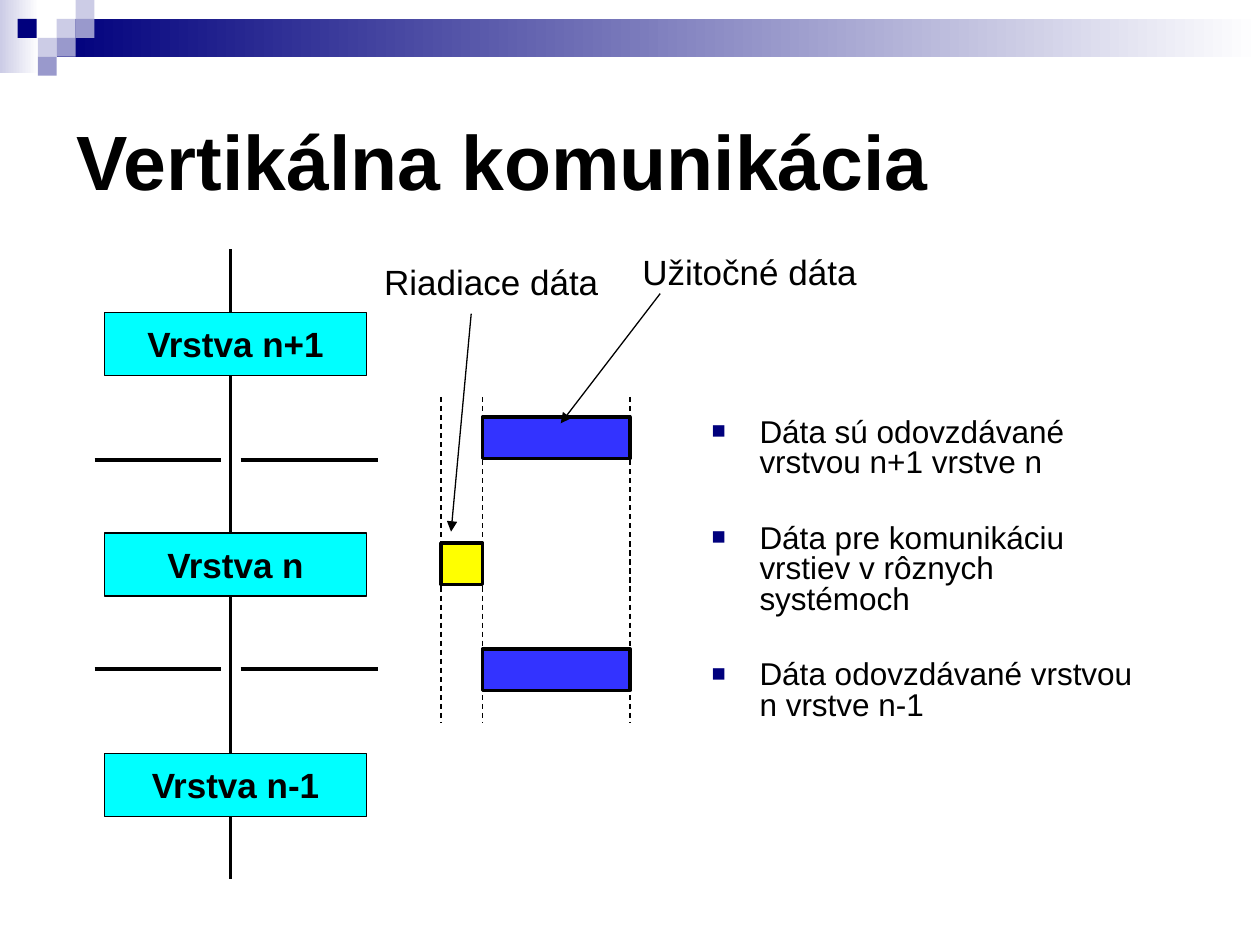
from dataclasses import dataclass

from lxml import etree
from pptx import Presentation
from pptx.dml.color import RGBColor as RGB
from pptx.enum.dml import MSO_LINE
from pptx.enum.shapes import MSO_CONNECTOR, MSO_SHAPE
from pptx.enum.text import MSO_ANCHOR as ANCHOR, PP_ALIGN as ALIGN
from pptx.oxml.ns import qn
from pptx.util import Inches, Pt


@dataclass(frozen=True)
class Theme:
    font: str = "Arial"
    ink: str = "000000"
    white: str = "FFFFFF"
    navy: str = "00007D"
    lilac: str = "9999CC"
    pale: str = "CCCCE6"
    layer: str = "00FFFF"
    payload: str = "3333FF"
    control: str = "FFFF00"
    title: int = 44
    label: int = 20
    body: int = 18
    thin: float = 0.75
    thick: float = 2


class SlideBuilder:
    def __init__(self, slide, theme):
        self.s = slide
        self.theme = theme

    def set_text(self, tf, text, size, bold=False, align=ALIGN.LEFT, anchor=ANCHOR.TOP):
        tf.word_wrap = True
        tf.vertical_anchor = anchor
        tf.text = text
        for p in tf.paragraphs:
            p.alignment = align
            for r in p.runs:
                r.font.name = self.theme.font
                r.font.size = Pt(size)
                r.font.bold = bold
                r.font.color.rgb = RGB.from_string(self.theme.ink)

    def rect(self, x, y, w, h, fill, line=None):
        sp = self.s.shapes.add_shape(
            MSO_SHAPE.RECTANGLE, Inches(x), Inches(y), Inches(w), Inches(h))
        sp.shadow.inherit = False
        sp.fill.solid()
        sp.fill.fore_color.rgb = RGB.from_string(fill)
        if line:
            sp.line.color.rgb = RGB.from_string(self.theme.ink)
            sp.line.width = Pt(line)
        else:
            sp.line.fill.background()
        return sp

    def fade(self, x, y, w, h, color):
        """Rectangle that fades from color to white, left to right."""
        fill = self.rect(x, y, w, h, color).fill
        fill.gradient()
        fill.gradient_angle = 0
        for stop, rgb in zip(fill.gradient_stops, (color, self.theme.white)):
            stop.color.rgb = RGB.from_string(rgb)

    def text(self, x, y, w, h, text, size, **style):
        sp = self.s.shapes.add_textbox(Inches(x), Inches(y), Inches(w), Inches(h))
        self.set_text(sp.text_frame, text, size, **style)
        return sp

    def bullets(self, x, y, w, h, items):
        tf = self.text(x, y, w, h, "\n".join(items), self.theme.body).text_frame
        for i, p in enumerate(tf.paragraphs):
            p.line_spacing = 0.8
            p.space_before = Pt(26 if i else 0)
            pPr = p._p.get_or_add_pPr()
            pPr.set("marL", str(Inches(0.38)))
            pPr.set("indent", str(-Inches(0.38)))
            color = etree.SubElement(pPr, qn("a:buClr"))
            etree.SubElement(color, qn("a:srgbClr"), val=self.theme.navy)
            etree.SubElement(pPr, qn("a:buSzPct"), val="75000")
            etree.SubElement(pPr, qn("a:buFont"), typeface=self.theme.font)
            etree.SubElement(pPr, qn("a:buChar"), char="■")

    def line(self, x1, y1, x2, y2, width, dashed=False, arrow=False):
        c = self.s.shapes.add_connector(
            MSO_CONNECTOR.STRAIGHT, Inches(x1), Inches(y1), Inches(x2), Inches(y2))
        c.line.color.rgb = RGB.from_string(self.theme.ink)
        c.line.width = Pt(width)
        if dashed:
            c.line.dash_style = MSO_LINE.DASH
        spPr = c._element.spPr
        if arrow:
            etree.SubElement(spPr.find(qn("a:ln")), qn("a:tailEnd"), type="triangle")
        etree.SubElement(spPr, qn("a:effectLst"))


def draw_header(b):
    t = b.theme
    b.fade(0, 0, 0.31, 0.58, t.pale)
    b.fade(0.45, 0.15, 9.55, 0.3, t.navy)
    for x, y, color in ((0.45, 0.15, t.pale), (0.6, 0, t.pale), (0.6, 0.15, t.lilac),
                        (0.3, 0.3, t.pale), (0.14, 0.15, t.navy),
                        (0.45, 0.3, t.lilac), (0.3, 0.45, t.lilac)):
        b.rect(x, y, 0.15, 0.15, color)
    b.text(0.51, 0.52, 9, 1.5, "Vertikálna komunikácia", t.title,
           bold=True, anchor=ANCHOR.MIDDLE)


def draw_layers(b):
    t = b.theme
    axis, top, height, step = 1.83, 2.48, 0.5, 1.75
    for i, name in enumerate(("Vrstva n+1", "Vrstva n", "Vrstva n-1")):
        sp = b.rect(0.83, top + i * step, 2.08, height, t.layer, t.thin)
        b.set_text(sp.text_frame, name, t.label, bold=True,
                   align=ALIGN.CENTER, anchor=ANCHOR.MIDDLE)
    bottom = top + 2 * step + height
    links = [(top - 0.5, top), (bottom, bottom + 0.5)]
    links += [(top + height + i * step, top + (i + 1) * step) for i in range(2)]
    for y1, y2 in links:
        b.line(axis, y1, axis, y2, t.thick)
    for y in (3.65, 5.31):
        b.line(0.75, y, 1.75, y, t.thick)
        b.line(1.91, y, 3, y, t.thick)


def draw_data_units(b):
    t = b.theme
    left, middle, right, height = 3.5, 3.83, 5, 0.33
    for y in (3.31, 5.15):
        b.rect(middle, y, right - middle, height, t.payload, t.thick)
    b.rect(left, 4.31, middle - left, height, t.control, t.thick)
    for x in (left, middle, right):
        b.line(x, 3.15, x, 5.73, t.thin, dashed=True)
    b.text(5, 1.94, 2.2, 0.44, "Užitočné dáta", t.label)
    b.text(2.95, 2.02, 2.2, 0.44, "Riadiace dáta", t.label)
    b.line(3.74, 2.49, 3.58, 4.22, t.thin, arrow=True)
    b.line(5.24, 2.33, 4.45, 3.36, t.thin, arrow=True)


def main():
    prs = Presentation()
    prs.slide_width, prs.slide_height = Inches(10), Inches(7.5)
    b = SlideBuilder(prs.slides.add_slide(prs.slide_layouts[6]), Theme())
    draw_header(b)
    b.bullets(5.55, 3.28, 3.57, 2.76, (
        "Dáta sú odovzdávané vrstvou n+1 vrstve n",
        "Dáta pre komunikáciu vrstiev v rôznych systémoch",
        "Dáta odovzdávané vrstvou n vrstve n-1"))
    draw_layers(b)
    draw_data_units(b)
    prs.save("out.pptx")


if __name__ == "__main__":
    main()
